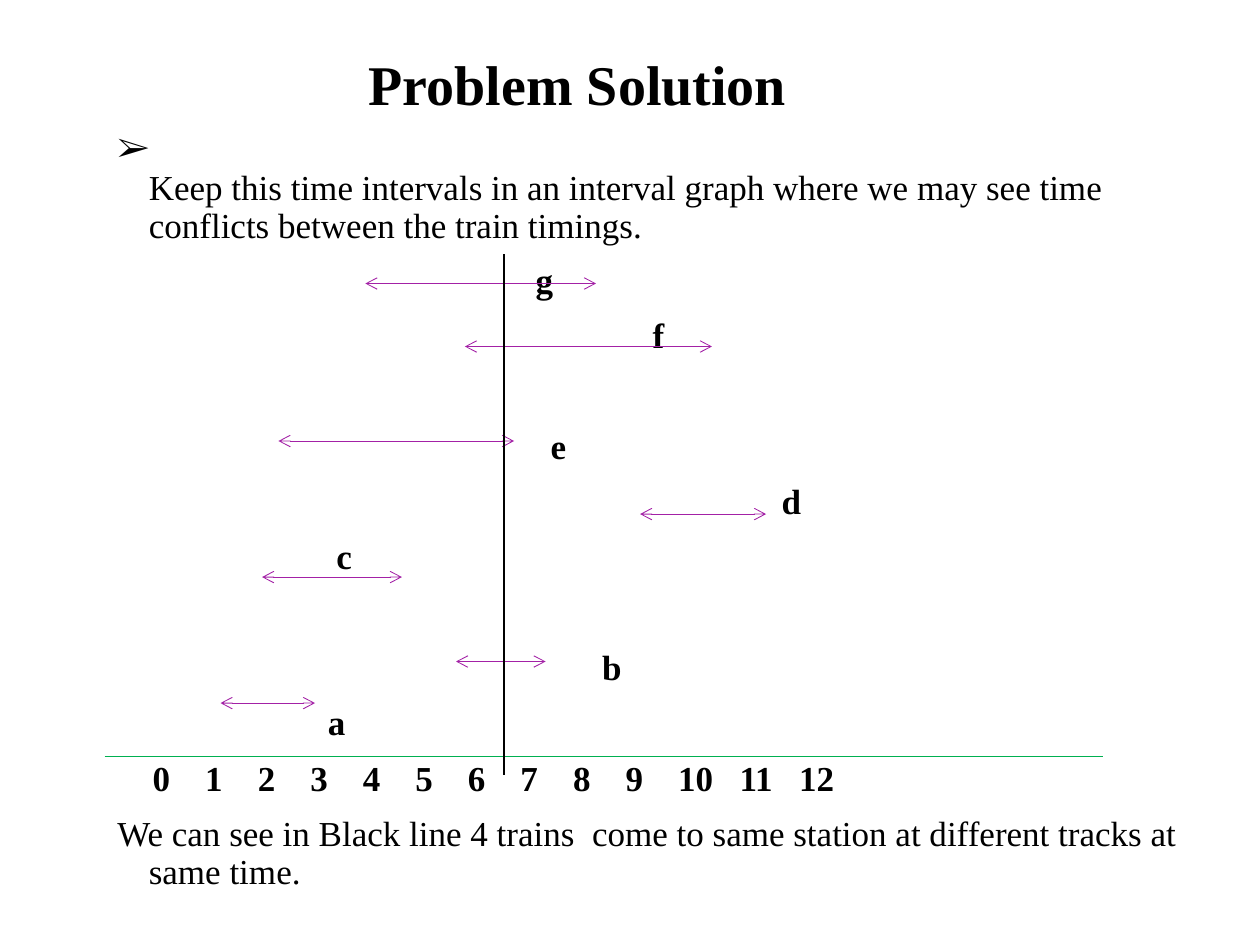
from collections import namedtuple

from lxml.etree import SubElement
from pptx import Presentation
from pptx.dml.color import RGBColor
from pptx.enum.shapes import MSO_CONNECTOR
from pptx.enum.text import MSO_ANCHOR, PP_ALIGN
from pptx.oxml.ns import qn
from pptx.util import Inches, Pt

COLUMNS, ROWS = 100, 75
SLIDE_WIDTH, SLIDE_HEIGHT = Inches(10), Inches(7.5)
FONT = "Times New Roman"
BLACK, GREEN, PURPLE = "000000", "00B050", "A321A6"
HANGING_INDENT = 2.5
SPACE_BEFORE, EMPTY_ROW = 10, 31.6

Box = namedtuple("Box", "left top width height")
Train = namedtuple("Train", "name label_x start end y")

TRAINS = [
    Train("g", 33.9, 20.7, 39, 2.3),
    Train("f", 42.95, 28.6, 48.2, 7.3),
    Train("e", 35, 13.8, 32.5, 14.8),
    Train("d", 53.5, 42.5, 52.5, 20.6),
    Train("c", 18, 12.5, 23.6, 25.6),
    Train("b", 39.25, 27.9, 35, 32.3),
    Train("a", 17.4, 9.2, 16.7, 35.6),
]
ROWS_SKIPPED_ABOVE = {"e": 1, "b": 1}
HOUR_POSITIONS = ([3.5 + 4.17 * hour for hour in range(10)]
                  + [45.9 + 4.8 * step for step in range(3)])


def color(value):
    return RGBColor.from_string(value)


def across(columns):
    return round(SLIDE_WIDTH * columns / COLUMNS)


def down(rows):
    return round(SLIDE_HEIGHT * rows / ROWS)


def add_text_frame(slide, box):
    shape = slide.shapes.add_textbox(
        across(box.left), down(box.top), across(box.width), down(box.height))
    shape.text_frame.word_wrap = True
    return shape.text_frame


def format_paragraph(paragraph, size=20, bold=False, space_before=0):
    paragraph.line_spacing = 0.9
    paragraph.space_before = Pt(space_before)
    for run in paragraph.runs:
        run.font.name = FONT
        run.font.size = Pt(size)
        run.font.bold = bold
        run.font.color.rgb = color(BLACK)


def hang(paragraph):
    properties = paragraph._p.get_or_add_pPr()
    properties.set("marL", str(across(HANGING_INDENT)))
    properties.set("indent", str(-across(HANGING_INDENT)))
    return properties


def add_tabbed_row(frame, labels, centers, space_before):
    paragraph = frame.add_paragraph()
    paragraph.text = "".join(f"\t{label}" for label in labels)
    tabs = SubElement(paragraph._p.get_or_add_pPr(), qn("a:tabLst"))
    for center in centers:
        SubElement(tabs, qn("a:tab"), pos=str(across(center)), algn="ctr")
    format_paragraph(paragraph, bold=True, space_before=space_before)


def add_title(slide, box):
    frame = add_text_frame(slide, box)
    frame.vertical_anchor = MSO_ANCHOR.MIDDLE
    frame.text = "Problem Solution"
    frame.paragraphs[0].alignment = PP_ALIGN.CENTER
    format_paragraph(frame.paragraphs[0], size=32, bold=True)


def add_body(slide, box):
    frame = add_text_frame(slide, box)
    frame.text = ("\vKeep this time intervals in an interval graph where we may see "
                  "time conflicts between the train timings.")
    introduction = frame.paragraphs[0]
    properties = hang(introduction)
    SubElement(properties, qn("a:buFont"), typeface=FONT)
    SubElement(properties, qn("a:buChar"), char="➢")
    for line_break in introduction._p.findall(qn("a:br")):
        SubElement(line_break, qn("a:rPr"), sz="2000")
    format_paragraph(introduction)

    for train in TRAINS:
        skipped = ROWS_SKIPPED_ABOVE.get(train.name, 0)
        add_tabbed_row(frame, [train.name], [train.label_x],
                       SPACE_BEFORE + skipped * EMPTY_ROW)
    add_tabbed_row(frame, range(13), HOUR_POSITIONS, SPACE_BEFORE)

    conclusion = frame.add_paragraph()
    conclusion.text = ("We can see in Black line 4 trains  come to same station at "
                       "different tracks at same time.")
    hang(conclusion)
    format_paragraph(conclusion, space_before=SPACE_BEFORE)


def add_line(slide, start, end, line_color, width, arrows=False):
    connector = slide.shapes.add_connector(
        MSO_CONNECTOR.STRAIGHT, across(start[0]), down(start[1]), across(end[0]), down(end[1]))
    connector.line.color.rgb = color(line_color)
    connector.line.width = Pt(width)
    if arrows:
        line = connector.line._get_or_add_ln()
        for tag in ("a:headEnd", "a:tailEnd"):
            SubElement(line, qn(tag), type="arrow")
    SubElement(connector._element.spPr, qn("a:effectLst"))


def add_interval_lines(slide, box):
    axis_y = box.top + 39.8
    add_line(slide, (box.left, axis_y), (box.left + box.width, axis_y), GREEN, 0.5)
    for train in reversed(TRAINS):
        y = box.top + train.y
        add_line(slide, (box.left + train.start, y), (box.left + train.end, y),
                 PURPLE, 0.5, arrows=True)
    conflict_x = box.left + 31.7
    add_line(slide, (conflict_x, box.top), (conflict_x, box.top + box.height), BLACK, 1.5)


def main():
    presentation = Presentation()
    presentation.slide_width, presentation.slide_height = SLIDE_WIDTH, SLIDE_HEIGHT
    slide = presentation.slides.add_slide(presentation.slide_layouts[6])
    add_title(slide, Box(5, 3, 81.7, 7.8))
    add_body(slide, Box(8.33, 10, 88.3, 61.7))
    add_interval_lines(slide, Box(8.3, 20.2, 79.2, 41.3))
    presentation.save("out.pptx")


if __name__ == "__main__":
    main()
